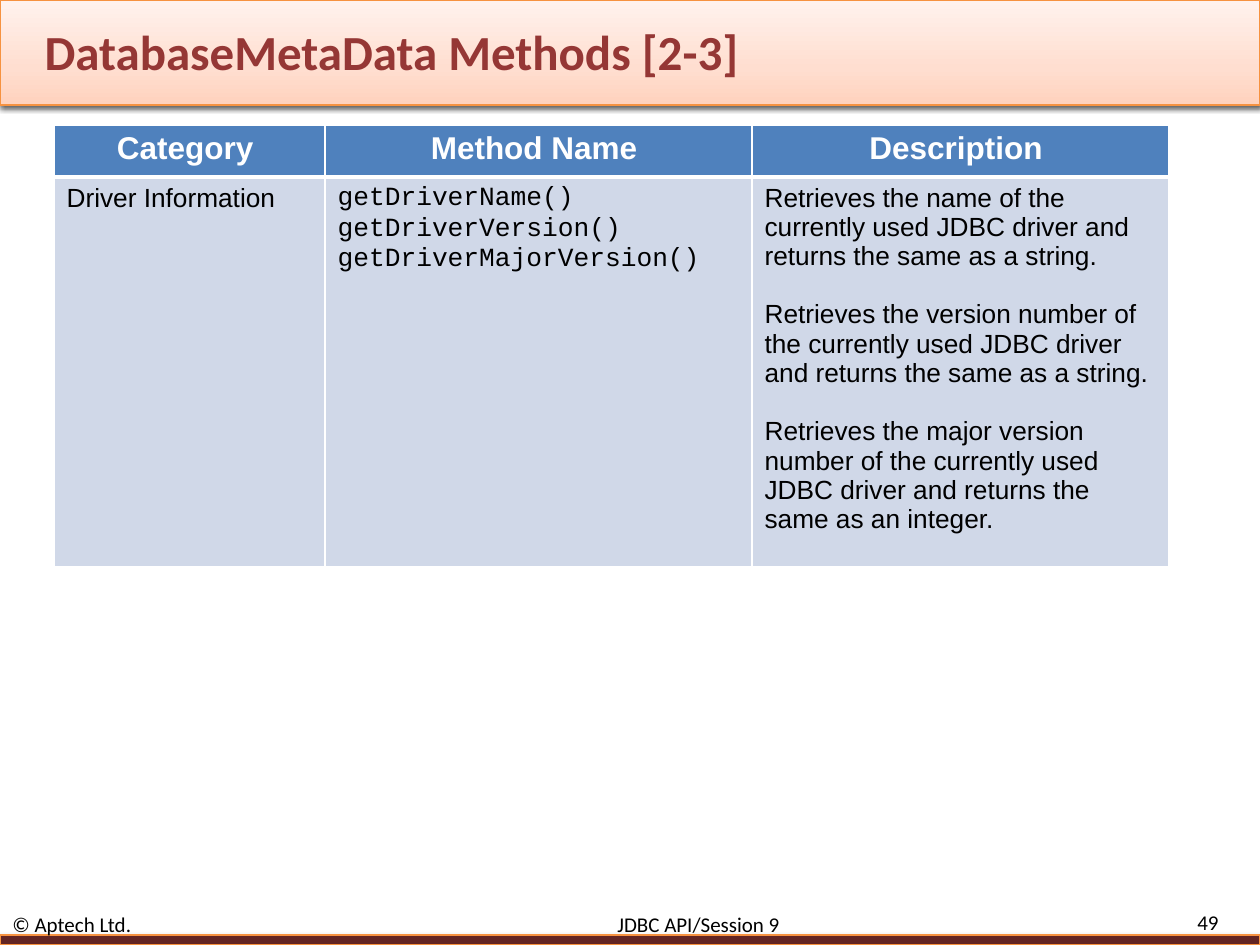
"""Build the slide on the driver methods of DatabaseMetaData."""
import copy
import dataclasses

import lxml.etree
import pptx
import pptx.dml.color
import pptx.enum.shapes
import pptx.enum.text
import pptx.oxml.ns
import pptx.util

ALIGN = pptx.enum.text.PP_ALIGN
MIDDLE = pptx.enum.text.MSO_ANCHOR.MIDDLE
EMU_PER_PX = 914400 / 126


@dataclasses.dataclass(frozen=True)
class Theme:
    heading_font: str = "Calibri"
    body_font: str = "Arial"
    code_font: str = "Courier New"
    title_size: int = 28
    header_size: int = 18
    body_size: int = 15
    footer_size: int = 12
    body_spacing: float = 16.7
    code_spacing: float = 17.4
    title: str = "953735"
    text: str = "000000"
    white: str = "FFFFFF"
    header_fill: str = "4F81BD"
    body_fill: str = "D0D8E8"
    bar_fill: str = "632523"
    bar_line: str = "F69240"
    banner: tuple = ((0, "FFD2BD"), (0.35, "FFDED0"), (1, "FFF2ED"))


def px(length):
    return pptx.util.Emu(round(length * EMU_PER_PX))


def rgb(value):
    return pptx.dml.color.RGBColor.from_string(value)


def add_xml(parent, tag, **attributes):
    child = lxml.etree.SubElement(parent, pptx.oxml.ns.qn(tag))
    for name, value in attributes.items():
        child.set(name, str(value))
    return child


class SlideBuilder:
    def __init__(self, presentation, theme):
        self.theme = theme
        self.slide = presentation.slides.add_slide(presentation.slide_layouts[5])

    def format_text(self, paragraph, font, size, color, bold=False, align=ALIGN.LEFT):
        paragraph.alignment = align
        for run in paragraph.runs:
            run.font.name = font
            run.font.size = pptx.util.Pt(size)
            run.font.bold = bold
            run.font.color.rgb = rgb(color)

    def bar(self, top, height, stops, shadow_alpha):
        shape = self.slide.shapes.add_shape(
            pptx.enum.shapes.MSO_SHAPE.RECTANGLE, 0, px(top), px(1260), px(height))
        properties = shape._element.spPr
        if len(stops) == 1:
            shape.fill.solid()
            shape.fill.fore_color.rgb = rgb(stops[0][1])
        else:
            shape.fill.gradient()
            shape.fill.gradient_angle = 90
            stop_list = properties.find(".//" + pptx.oxml.ns.qn("a:gsLst"))
            while len(stop_list) < len(stops):
                stop_list.append(copy.deepcopy(stop_list[0]))
            for stop, (position, color) in zip(shape.fill.gradient_stops, stops):
                stop.position = position
                stop.color.rgb = rgb(color)
        shape.line.color.rgb = rgb(self.theme.bar_line)
        shape.line.width = pptx.util.Pt(0.75)
        effects = add_xml(properties, "a:effectLst")
        shadow = add_xml(effects, "a:outerShdw", blurRad=pptx.util.Pt(3.1),
                         dist=pptx.util.Pt(1.7), dir=5400000, rotWithShape=0)
        color = add_xml(shadow, "a:srgbClr", val=self.theme.text)
        add_xml(color, "a:alpha", val=shadow_alpha * 1000)

    def title(self, text, left, top, width, height):
        shape = self.slide.shapes.title
        self.slide.shapes._spTree.append(shape._element)
        shape.left, shape.top, shape.width, shape.height = map(px, (left, top, width, height))
        shape.text_frame.text = text
        shape.text_frame.vertical_anchor = MIDDLE
        self.format_text(shape.text_frame.paragraphs[0], self.theme.heading_font,
                         self.theme.title_size, self.theme.title, bold=True)

    def footer(self, text, left, top, width, height, align=ALIGN.LEFT, tab=None):
        box = self.slide.shapes.add_textbox(px(left), px(top), px(width), px(height))
        frame = box.text_frame
        frame.word_wrap = True
        frame.vertical_anchor = MIDDLE
        frame.text = text
        paragraph = frame.paragraphs[0]
        if tab:
            tabs = add_xml(paragraph._p.get_or_add_pPr(), "a:tabLst")
            add_xml(tabs, "a:tab", pos=px(tab), algn="l")
        self.format_text(paragraph, self.theme.heading_font, self.theme.footer_size,
                         self.theme.text, align=align)

    def style_cell(self, cell, fill, top, bottom):
        properties = cell._tc.get_or_add_tcPr()
        for side, width in (("L", 1), ("R", 1), ("T", top), ("B", bottom)):
            line = add_xml(properties, "a:ln" + side, w=pptx.util.Pt(width))
            add_xml(add_xml(line, "a:solidFill"), "a:srgbClr", val=self.theme.white)
        cell.fill.solid()
        cell.fill.fore_color.rgb = rgb(fill)

    def table(self, left, top, widths, heights, headers, body):
        theme = self.theme
        table = self.slide.shapes.add_table(
            2, len(widths), px(left), px(top), px(sum(widths)), px(sum(heights))).table
        table.horz_banding = False
        for row, height in zip(table.rows, heights):
            row.height = px(height)
        for index, (width, header, content) in enumerate(zip(widths, headers, body)):
            table.columns[index].width = px(width)
            head_cell, body_cell = table.cell(0, index), table.cell(1, index)
            self.style_cell(head_cell, theme.header_fill, 1, 3)
            self.style_cell(body_cell, theme.body_fill, 3, 1)
            head_cell.text_frame.text = header
            self.format_text(head_cell.text_frame.paragraphs[0], theme.body_font,
                             theme.header_size, theme.white, bold=True, align=ALIGN.CENTER)
            lines, font, spacing, gap = content
            body_cell.text_frame.text = "\n".join(lines)
            for number, paragraph in enumerate(body_cell.text_frame.paragraphs):
                paragraph.line_spacing = pptx.util.Pt(spacing)
                if number:
                    paragraph.space_before = pptx.util.Pt(gap)
                self.format_text(paragraph, font, theme.body_size, theme.text)


def main():
    theme = Theme()
    presentation = pptx.Presentation()
    presentation.slide_width, presentation.slide_height = px(1260), px(945)
    builder = SlideBuilder(presentation, theme)
    builder.bar(0, 105, theme.banner, 60)
    builder.bar(935, 10, ((0, theme.bar_fill),), 35)
    builder.title("DatabaseMetaData Methods [2-3]", 32, 22, 1114, 57)
    builder.footer("© Aptech Ltd.\tJDBC API/Session 9", 0, 914, 1113, 21, tab=605)
    builder.footer("49", 1124, 911, 107, 23, align=ALIGN.RIGHT)

    methods = ["getDriverName()", "getDriverVersion()", "getDriverMajorVersion()"]
    descriptions = [
        "Retrieves the name of the currently used JDBC driver and returns the same as a string.",
        "Retrieves the version number of the currently used JDBC driver "
        "and returns the same as a string.",
        "Retrieves the major version number of the currently used JDBC driver "
        "and returns the same as an integer.",
    ]
    builder.table(
        54, 125, (271, 427, 417), (52, 390),
        ("Category ", "Method Name ", "Description "),
        ((["Driver Information"], theme.body_font, theme.body_spacing, 0),
         (methods, theme.code_font, theme.code_spacing, 0),
         (descriptions, theme.body_font, theme.body_spacing, theme.body_spacing)))
    presentation.save("out.pptx")


if __name__ == "__main__":
    main()
